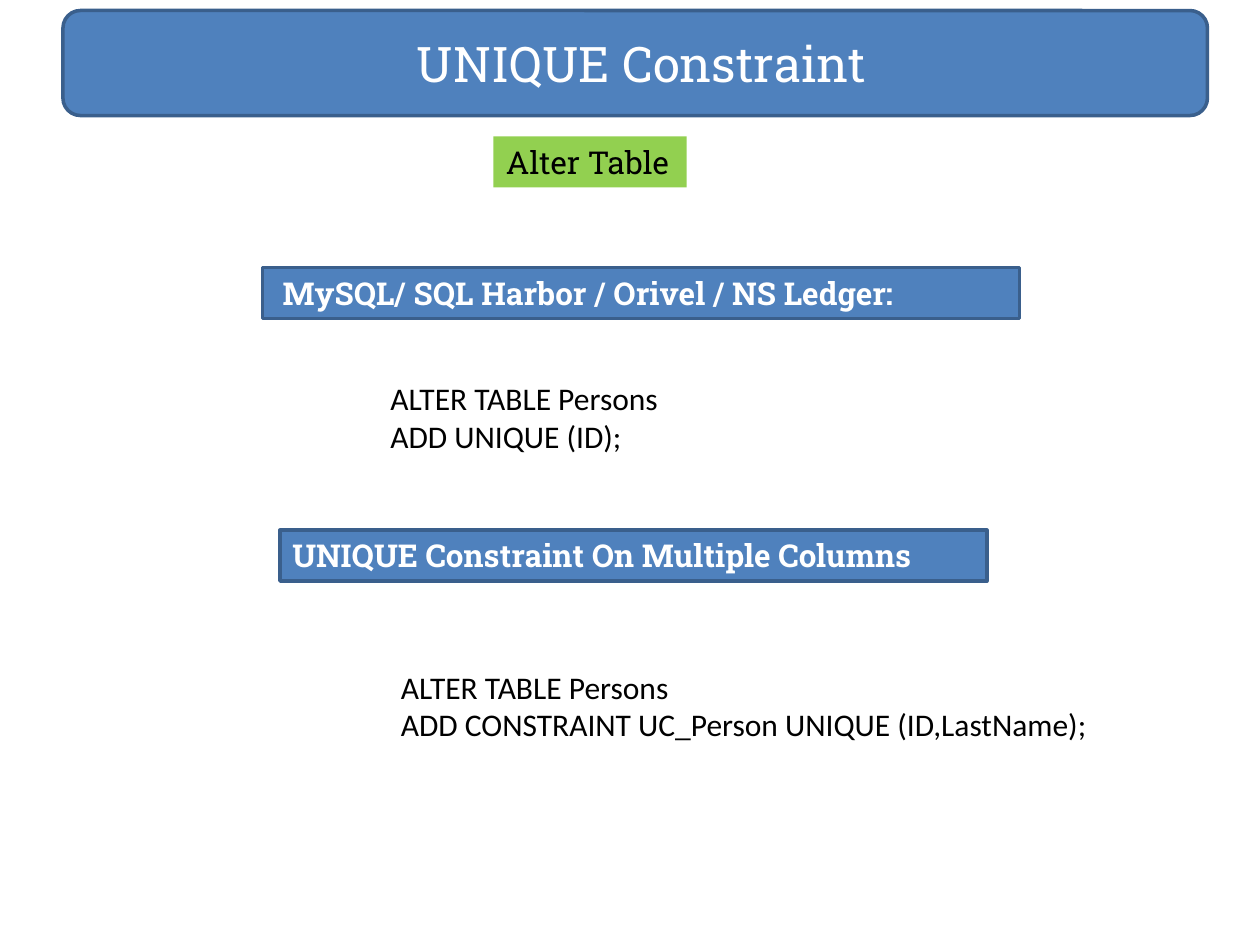
from pptx import Presentation
from pptx.dml.color import RGBColor
from pptx.enum.shapes import MSO_SHAPE
from pptx.enum.text import MSO_ANCHOR, PP_ALIGN
from pptx.util import Pt

RECTANGLE, ROUNDED = MSO_SHAPE.RECTANGLE, MSO_SHAPE.ROUNDED_RECTANGLE
TOP, MIDDLE = MSO_ANCHOR.TOP, MSO_ANCHOR.MIDDLE
LEFT, CENTER = PP_ALIGN.LEFT, PP_ALIGN.CENTER

COLORS = {
    "blue": "4F81BD",
    "edge": "3A5F8C",
    "green": "92D050",
    "white": "FFFFFF",
    "black": "000000",
}
HEADING_FONT, CODE_FONT = "Roboto Slab", "Calibri"
LABEL_HEIGHT = 29.08


def color(name):
    return RGBColor.from_string(COLORS[name])


def write(box, text, ink, align=LEFT, anchor=TOP, **font_values):
    """Put one paragraph into a box; a newline becomes a line break."""
    frame = box.text_frame
    frame.word_wrap = True
    frame.vertical_anchor = anchor
    para = frame.paragraphs[0]
    para.text = text
    para.alignment = align
    for span in para.runs:
        for name, value in font_values.items():
            setattr(span.font, name, value)
        span.font.color.rgb = color(ink)


def add_panel(page, kind, bounds, fill, edge=None):
    panel = page.shapes.add_shape(kind, *map(Pt, bounds))
    panel.shadow.inherit = False
    panel.fill.solid()
    panel.fill.fore_color.rgb = color(fill)
    if edge:
        panel.line.color.rgb = color(edge)
        panel.line.width = Pt(2)
    else:
        panel.line.fill.background()
    return panel


def add_heading(page, text, left, top, width):
    panel = add_panel(page, RECTANGLE, (left, top, width, LABEL_HEIGHT), "blue", "edge")
    write(panel, text, "white", name=HEADING_FONT, size=Pt(18), bold=True)


def add_code(page, text, left, top, width):
    box = page.shapes.add_textbox(Pt(left), Pt(top), Pt(width), Pt(50.9))
    write(box, text, "black", name=CODE_FONT, size=Pt(18))


def main():
    deck = Presentation()
    deck.slide_width, deck.slide_height = Pt(720), Pt(540)
    page = deck.slides.add_slide(deck.slide_layouts[6])

    # Title banner
    banner = add_panel(page, ROUNDED, (36, 6, 654, 60), "blue", "edge")
    write(banner, " UNIQUE Constraint", "white", CENTER, MIDDLE,
          name=HEADING_FONT, size=Pt(28))

    # Single column
    add_heading(page, " MySQL/ SQL Harbor / Orivel / NS Ledger:", 150, 153, 432.6)
    add_code(page, "ALTER TABLE Persons\nADD UNIQUE (ID);", 216, 213, 360)

    # Multiple columns
    add_heading(page, "UNIQUE Constraint On Multiple Columns", 160, 303, 404)
    add_code(page,
             "ALTER TABLE Persons\nADD CONSTRAINT UC_Person UNIQUE (ID,LastName);",
             222, 378, 480)

    # Topic tag
    tag = add_panel(page, RECTANGLE, (282, 78, 110.4, LABEL_HEIGHT), "green")
    write(tag, "Alter Table", "black", name=HEADING_FONT, size=Pt(18))

    deck.save("out.pptx")


if __name__ == "__main__":
    main()
